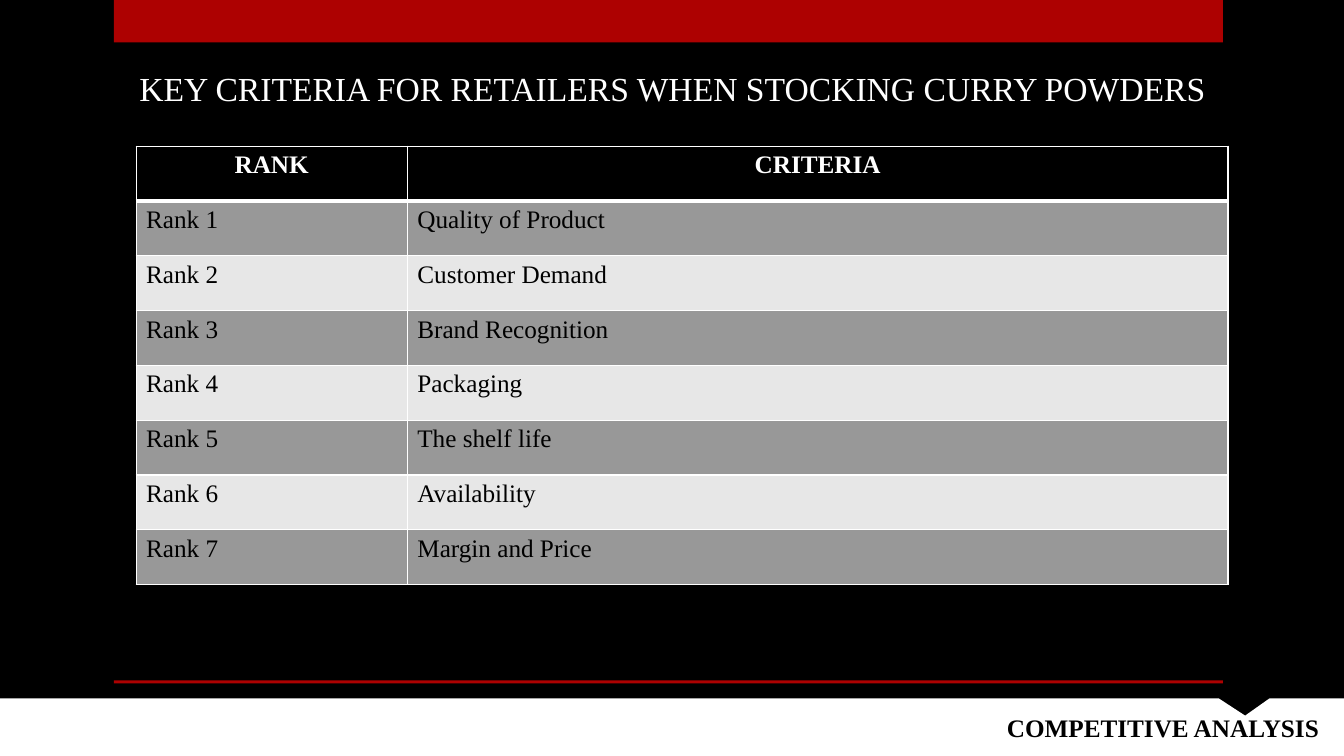
from lxml.etree import SubElement
from pptx import Presentation
from pptx.dml.color import RGBColor
from pptx.enum.shapes import MSO_SHAPE
from pptx.enum.text import MSO_ANCHOR, PP_ALIGN
from pptx.oxml.ns import qn
from pptx.util import Inches, Pt

BLACK = RGBColor(0x00, 0x00, 0x00)
WHITE = RGBColor(0xFF, 0xFF, 0xFF)
RED = RGBColor(0xAD, 0x01, 0x01)
DARK_GREY = RGBColor(0x98, 0x98, 0x98)
LIGHT_GREY = RGBColor(0xE7, 0xE7, 0xE7)

FONT = "Times New Roman"
CRITERIA = [
    "Quality of Product",
    "Customer Demand",
    "Brand Recognition",
    "Packaging",
    "The shelf life",
    "Availability",
    "Margin and Price",
]
COLUMN_WIDTHS = [2.69, 8.14]
ROW_HEIGHT = 4.35 / (len(CRITERIA) + 1)
FOOTER_OUTLINE = [
    (0, 6.93), (12.09, 6.93), (12.35, 7.1), (12.59, 6.93),
    (13.33, 6.93), (13.33, 7.5), (0, 7.5),
]


def paint(shape, color):
    shape.shadow.inherit = False
    shape.fill.solid()
    shape.fill.fore_color.rgb = color
    shape.line.fill.background()


def add_bar(page, top, height):
    bar = page.shapes.add_shape(
        MSO_SHAPE.RECTANGLE, Inches(1.13), Inches(top), Inches(11), Inches(height))
    paint(bar, RED)


def add_footer_band(page):
    points = [(Inches(x), Inches(y)) for x, y in FOOTER_OUTLINE]
    builder = page.shapes.build_freeform(*points[0])
    builder.add_line_segments(points[1:], close=True)
    paint(builder.convert_to_shape(), WHITE)


def write(frame, text, color, size, bold=False, align=PP_ALIGN.LEFT):
    para = frame.paragraphs[0]
    para.alignment = align
    span = para.add_run()
    span.text = text
    for name, value in {"name": FONT, "size": Pt(size), "bold": bold}.items():
        setattr(span.font, name, value)
    span.font.color.rgb = color


def add_text(page, place, text, anchor, **style):
    box = page.shapes.add_textbox(*map(Inches, place))
    box.text_frame.word_wrap = True
    box.text_frame.vertical_anchor = anchor
    write(box.text_frame, text, **style)


def set_borders(cell, widths):
    properties = cell._tc.get_or_add_tcPr()
    for position, (side, width) in enumerate(widths.items()):
        line = SubElement(properties, qn(f"a:ln{side}"), w=str(Pt(width)))
        fill = SubElement(line, qn("a:solidFill"))
        SubElement(fill, qn("a:srgbClr"), val=str(WHITE))
        properties.insert(position, line)


def fill_cell(cell, text, row):
    header = row == 0
    if header:
        background = BLACK
        style = {"color": WHITE, "bold": True, "align": PP_ALIGN.CENTER}
    else:
        background = DARK_GREY if row % 2 else LIGHT_GREY
        style = {"color": BLACK}
    cell.fill.solid()
    cell.fill.fore_color.rgb = background
    write(cell.text_frame, text, size=18, **style)
    set_borders(cell, {"L": 1, "R": 1, "T": 3 if row == 1 else 1, "B": 3 if header else 1})


def add_ranking(page):
    rows = [("RANK", "CRITERIA")]
    rows += [(f"Rank {rank}", name) for rank, name in enumerate(CRITERIA, 1)]
    table = page.shapes.add_table(
        len(rows), len(COLUMN_WIDTHS), Inches(1.35), Inches(1.45),
        Inches(sum(COLUMN_WIDTHS)), Inches(ROW_HEIGHT * len(rows))).table
    for column, width in zip(table.columns, COLUMN_WIDTHS):
        column.width = Inches(width)
    for row, texts in enumerate(rows):
        table.rows[row].height = Inches(ROW_HEIGHT)
        for column, text in enumerate(texts):
            fill_cell(table.cell(row, column), text, row)


def main():
    deck = Presentation()
    deck.slide_width = Inches(13.33)
    deck.slide_height = Inches(7.5)
    page = deck.slides.add_slide(deck.slide_layouts[6])
    page.background.fill.solid()
    page.background.fill.fore_color.rgb = BLACK
    add_bar(page, 0, 0.42)
    add_bar(page, 6.75, 0.03)
    add_footer_band(page)
    add_text(page, (1.14, 0.15, 11.06, 0.97),
             "KEY CRITERIA FOR RETAILERS WHEN STOCKING CURRY POWDERS",
             MSO_ANCHOR.BOTTOM, color=WHITE, size=24, align=PP_ALIGN.CENTER)
    add_ranking(page)
    add_text(page, (6.4, 7.02, 6.78, 0.4), "COMPETITIVE ANALYSIS",
             MSO_ANCHOR.TOP, color=BLACK, size=18, bold=True, align=PP_ALIGN.RIGHT)
    deck.save("out.pptx")


if __name__ == "__main__":
    main()
